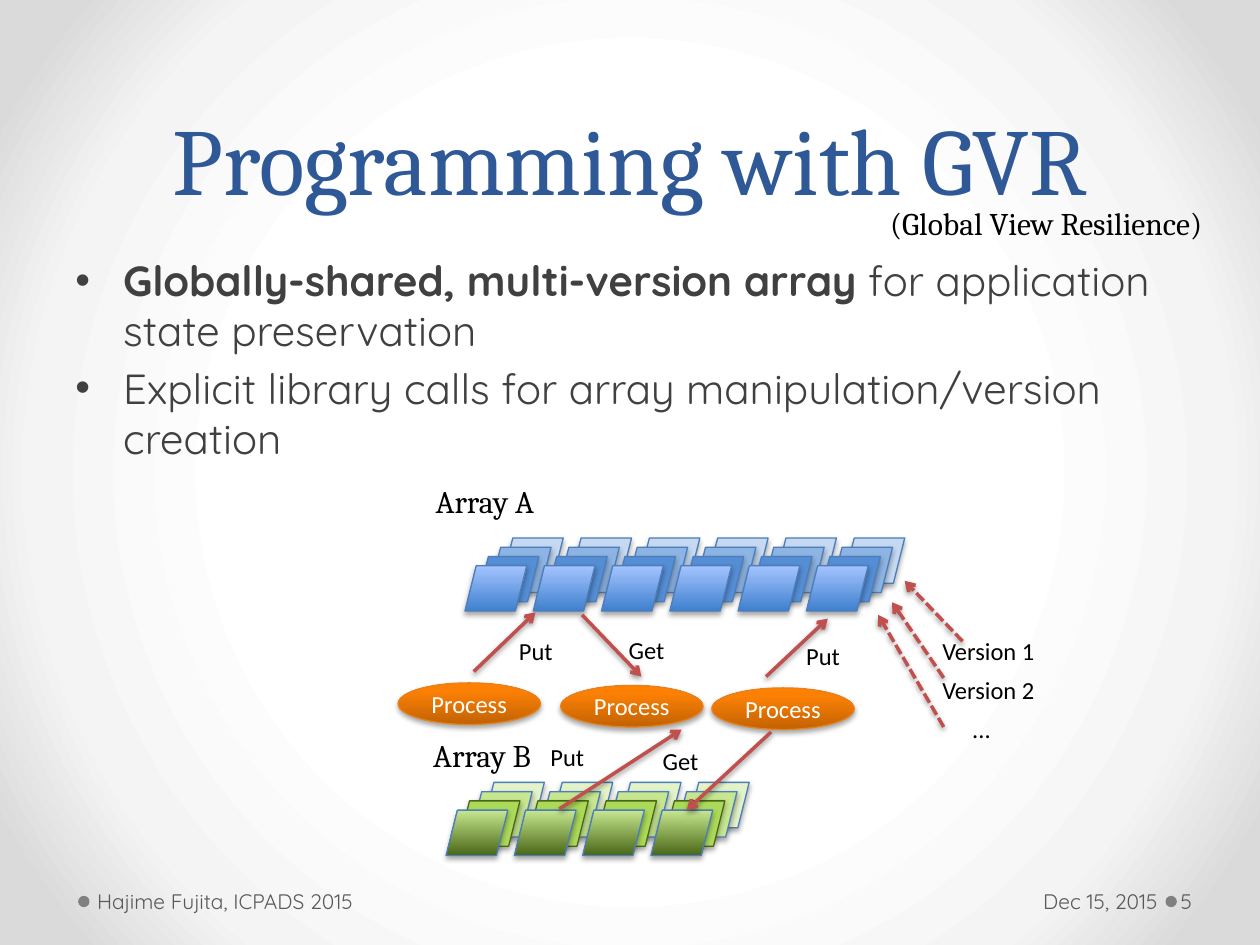
from typing import NamedTuple, Optional

from lxml import etree
from pptx import Presentation
from pptx.dml.color import RGBColor
from pptx.enum.dml import MSO_LINE
from pptx.enum.shapes import MSO_CONNECTOR, MSO_SHAPE
from pptx.enum.text import MSO_ANCHOR, MSO_AUTO_SIZE, PP_ALIGN
from pptx.oxml import parse_xml
from pptx.oxml.ns import nsdecls, qn
from pptx.util import Inches, Pt

LEFT, CENTER, RIGHT = PP_ALIGN.LEFT, PP_ALIGN.CENTER, PP_ALIGN.RIGHT
TOP, MIDDLE, BOTTOM = MSO_ANCHOR.TOP, MSO_ANCHOR.MIDDLE, MSO_ANCHOR.BOTTOM
OVAL, PARALLELOGRAM = MSO_SHAPE.OVAL, MSO_SHAPE.PARALLELOGRAM
STRAIGHT, DASH = MSO_CONNECTOR.STRAIGHT, MSO_LINE.SQUARE_DOT

BLACK = RGBColor(0x00, 0x00, 0x00)
WHITE = RGBColor(0xFF, 0xFF, 0xFF)
TITLE_BLUE = RGBColor(0x2F, 0x58, 0x97)
BODY_GRAY = RGBColor(0x40, 0x40, 0x40)
FOOTER_GRAY = RGBColor(0x59, 0x59, 0x59)
DOT_GRAY = RGBColor(0x80, 0x80, 0x80)
EDGE_BLUE = RGBColor(0x4B, 0x7E, 0xBC)
EDGE_GREEN = RGBColor(0x4A, 0x67, 0x17)
EDGE_ORANGE = RGBColor(0xE6, 0x81, 0x1C)
ARROW_RED = RGBColor(0xC0, 0x50, 0x4D)
A_OLDEST = RGBColor(0xC6, 0xD9, 0xF1)
A_OLDER = RGBColor(0x8E, 0xB4, 0xE3)
A_OLD = RGBColor(0x55, 0x8E, 0xD5)
A_DARK, A_LIGHT = RGBColor(0x3F, 0x80, 0xCE), RGBColor(0xA4, 0xC4, 0xFF)
B_OLDEST = RGBColor(0xE3, 0xF2, 0xC7)
B_OLDER = RGBColor(0xC7, 0xE6, 0x8F)
B_OLD = RGBColor(0xAB, 0xD9, 0x58)

UPWARD = '<a:lin ang="16200000" scaled="0"/>'
RADIAL = ('<a:path path="circle"><a:fillToRect l="50000" t="50000" '
          'r="50000" b="50000"/></a:path>')
BACKDROP = [(50, WHITE), (76, RGBColor(0xF4, 0xF4, 0xF4)),
            (92, RGBColor(0xDA, 0xDA, 0xDA))]
A_NEW = [(0, A_DARK), (100, A_LIGHT)]
B_NEW = [(0, EDGE_GREEN), (100, B_OLDER)]
ORANGE = [(0, RGBColor(0xC2, 0x62, 0x03)), (80, RGBColor(0xFB, 0x80, 0x04)),
          (100, RGBColor(0xFF, 0x80, 0x02))]

CELL_W, CELL_H = 0.49, 0.36
CELL_PITCH = 2.71 / 5
VERSION_DX, VERSION_DY = 0.29 / 3, 0.22 / 3


class Array(NamedTuple):
    x: float
    y: float
    cells: int
    layers: list  # (fill, edge) from the oldest version to the newest


class Arrow(NamedTuple):
    x1: float
    y1: float
    x2: float
    y2: float
    dash: Optional[MSO_LINE] = None


class Label(NamedTuple):
    text: str
    x: float
    y: float
    w: float


ARRAYS = [
    Array(3.69, 4.49, 6, [(A_OLDEST, EDGE_BLUE), (A_OLDER, EDGE_BLUE),
                          (A_OLD, EDGE_BLUE), (A_NEW, EDGE_BLUE)]),
    Array(3.54, 6.43, 4, [(B_OLDEST, EDGE_BLUE), (B_OLDER, EDGE_BLUE),
                          (B_OLD, EDGE_GREEN), (B_NEW, EDGE_BLUE)]),
]
ARROWS = [
    Arrow(3.76, 5.33, 4.25, 4.86), Arrow(4.62, 4.88, 5.09, 5.37),
    Arrow(6.08, 5.37, 6.57, 4.91), Arrow(6.12, 5.81, 5.45, 6.43),
    Arrow(4.44, 6.42, 5.41, 5.79), Arrow(7.64, 5.09, 7.18, 4.61, DASH),
    Arrow(7.49, 5.38, 7.08, 4.78, DASH), Arrow(7.49, 5.77, 6.97, 4.88, DASH),
]
LABELS = [
    Label("Put", 4.02, 5, 0.47), Label("Get", 4.89, 4.99, 0.49),
    Label("Put", 6.3, 5.04, 0.47), Label("Put", 4.27, 5.84, 0.47),
    Label("Get", 5.16, 5.87, 0.49), Label("Version 1", 7.38, 5, 0.95),
    Label("Version 2", 7.38, 5.31, 0.95),
]
PROCESSES = [(3.16, 5.42), (4.45, 5.44), (5.65, 5.46)]


def set_gradient(fill, parent, stops: list, direction: str) -> None:
    """Swap a solid fill inside parent for a gradient."""
    fill.solid()
    gs = "".join(f'<a:gs pos="{pos * 1000}"><a:srgbClr val="{color}"/></a:gs>'
                 for pos, color in stops)
    parent.replace(parent.find(qn("a:solidFill")), parse_xml(
        f'<a:gradFill {nsdecls("a")} rotWithShape="1"><a:gsLst>{gs}</a:gsLst>'
        f'{direction}</a:gradFill>'))


def add_shadow(sp, dist: float, alpha: int) -> None:
    sp._element.spPr.append(parse_xml(
        f'<a:effectLst {nsdecls("a")}><a:outerShdw blurRad="{Pt(3.1)}" '
        f'dist="{Pt(dist)}" dir="5400000" rotWithShape="0"><a:srgbClr val="000000">'
        f'<a:alpha val="{alpha * 1000}"/></a:srgbClr></a:outerShdw></a:effectLst>'))


def write(p, text: str, *, size: float, font: str, color: RGBColor,
          bold: bool = False, align=LEFT) -> None:
    p.alignment = align
    r = p.add_run()
    r.text = text
    r.font.size, r.font.name, r.font.bold = Pt(size), font, bold
    r.font.color.rgb = color


def add_box(slide, x: float, y: float, w: float, h: float, *, anchor=TOP,
            wrap: bool = True, grow: bool = False, left: float = 0.1,
            right: float = 0.1):
    tf = slide.shapes.add_textbox(Inches(x), Inches(y), Inches(w), Inches(h)).text_frame
    tf.word_wrap = wrap
    tf.auto_size = MSO_AUTO_SIZE.SHAPE_TO_FIT_TEXT if grow else MSO_AUTO_SIZE.NONE
    tf.vertical_anchor = anchor
    tf.margin_left, tf.margin_right = Inches(left), Inches(right)
    return tf


def add_shape(slide, kind, x: float, y: float, w: float, h: float, fill, edge=None):
    """Draw a plain flat shape, or an outlined one with a shadow if edge is given."""
    sp = slide.shapes.add_shape(kind, Inches(x), Inches(y), Inches(w), Inches(h))
    if isinstance(fill, list):
        set_gradient(sp.fill, sp._element.spPr, fill, UPWARD)
    else:
        sp.fill.solid()
        sp.fill.fore_color.rgb = fill
    if edge is None:
        sp.line.fill.background()
        sp.shadow.inherit = False
    else:
        sp.line.color.rgb = edge
        sp.line.width = Pt(0.75)
        add_shadow(sp, 1.8, 35)
    return sp


def add_array(slide, array: Array) -> None:
    for age, (fill, edge) in zip((3, 2, 1, 0), array.layers):
        for i in range(array.cells):
            add_shape(slide, PARALLELOGRAM,
                      array.x + age * VERSION_DX + i * CELL_PITCH,
                      array.y - age * VERSION_DY, CELL_W, CELL_H, fill, edge)


def add_arrow(slide, arrow: Arrow) -> None:
    line = slide.shapes.add_connector(STRAIGHT, Inches(arrow.x1), Inches(arrow.y1),
                                      Inches(arrow.x2), Inches(arrow.y2))
    line.line.color.rgb = ARROW_RED
    line.line.width = Pt(2)
    if arrow.dash is not None:
        line.line.dash_style = arrow.dash
    etree.SubElement(line._element.spPr.find(qn("a:ln")), qn("a:tailEnd"), type="arrow")
    add_shadow(line, 1.6, 38)


def add_bullet(p) -> None:
    pPr = p._p.get_or_add_pPr()
    pPr.set("marL", str(Inches(0.38)))
    pPr.set("indent", str(Inches(-0.38)))
    etree.SubElement(pPr, qn("a:buFont"), typeface="Arial")
    etree.SubElement(pPr, qn("a:buChar"), char="•")


def main() -> None:
    prs = Presentation()
    prs.slide_width, prs.slide_height = Inches(10), Inches(7.5)
    slide = prs.slides.add_slide(prs.slide_layouts[6])
    bg_fill = slide.background.fill
    bg_fill.solid()
    set_gradient(bg_fill, slide._element.find(".//" + qn("p:bgPr")), BACKDROP, RADIAL)

    title = add_box(slide, 0.5, 0, 9, 1.75, anchor=BOTTOM).paragraphs[0]
    title.line_spacing = Pt(58)
    write(title, "Programming with GVR", size=54, font="Cambria", color=TITLE_BLUE, align=CENTER)

    body = add_box(slide, 0.5, 1.97, 9, 2.07)
    style = dict(size=24, font="Quicksand", color=BODY_GRAY)
    p = body.paragraphs[0]
    add_bullet(p)
    write(p, "Globally-shared, multi-version array ", bold=True, **style)
    write(p, "for application state preservation", **style)
    p = body.add_paragraph()
    add_bullet(p)
    p.space_before = Pt(4)
    write(p, "Explicit library calls for array manipulation/version creation", **style)

    for x in (0.62, 9.25):
        add_shape(slide, OVAL, x, 7.11, 0.09, 0.09, DOT_GRAY)
    for text, x, w, left, right, align in (
            ("Hajime Fujita, ICPADS 2015", 0.72, 3.11, 0.05, 0.1, LEFT),
            ("Dec 15, 2015", 6.96, 2.28, 0.1, 0.05, RIGHT),
            ("5", 9.34, 0.61, 0.03, 0.05, LEFT)):
        tf = add_box(slide, x, 6.95, w, 0.4, anchor=MIDDLE, left=left, right=right)
        write(tf.paragraphs[0], text, size=12, font="Quicksand", color=FOOTER_GRAY, align=align)

    for array in ARRAYS:
        add_array(slide, array)
    for x, y in PROCESSES:
        tf = add_shape(slide, OVAL, x, y, 1.13, 0.33, ORANGE, EDGE_ORANGE).text_frame
        tf.vertical_anchor = MIDDLE
        write(tf.paragraphs[0], "Process", size=14, font="Calibri", color=WHITE, align=CENTER)
    for arrow in ARROWS:
        add_arrow(slide, arrow)
    for label in LABELS:
        tf = add_box(slide, label.x, label.y, label.w, 0.34, wrap=False, grow=True)
        write(tf.paragraphs[0], label.text, size=14, font="Calibri", color=BLACK)
    more = add_box(slide, 7.38, 5.62, 0.82, 0.34, grow=True)
    write(more.paragraphs[0], "...", size=14, font="Calibri", color=BLACK, align=CENTER)

    for text, x, y, w, align in (("Array A", 3.36, 3.78, 1.96, LEFT),
                                 ("Array B", 3.34, 5.79, 1.96, LEFT),
                                 ("(Global View Resilience)", 6.53, 1.57, 3.11, RIGHT)):
        tf = add_box(slide, x, y, w, 0.4, grow=True)
        write(tf.paragraphs[0], text, size=18, font="Cambria", color=BLACK, align=align)
    prs.save("out.pptx")


if __name__ == "__main__":
    main()
